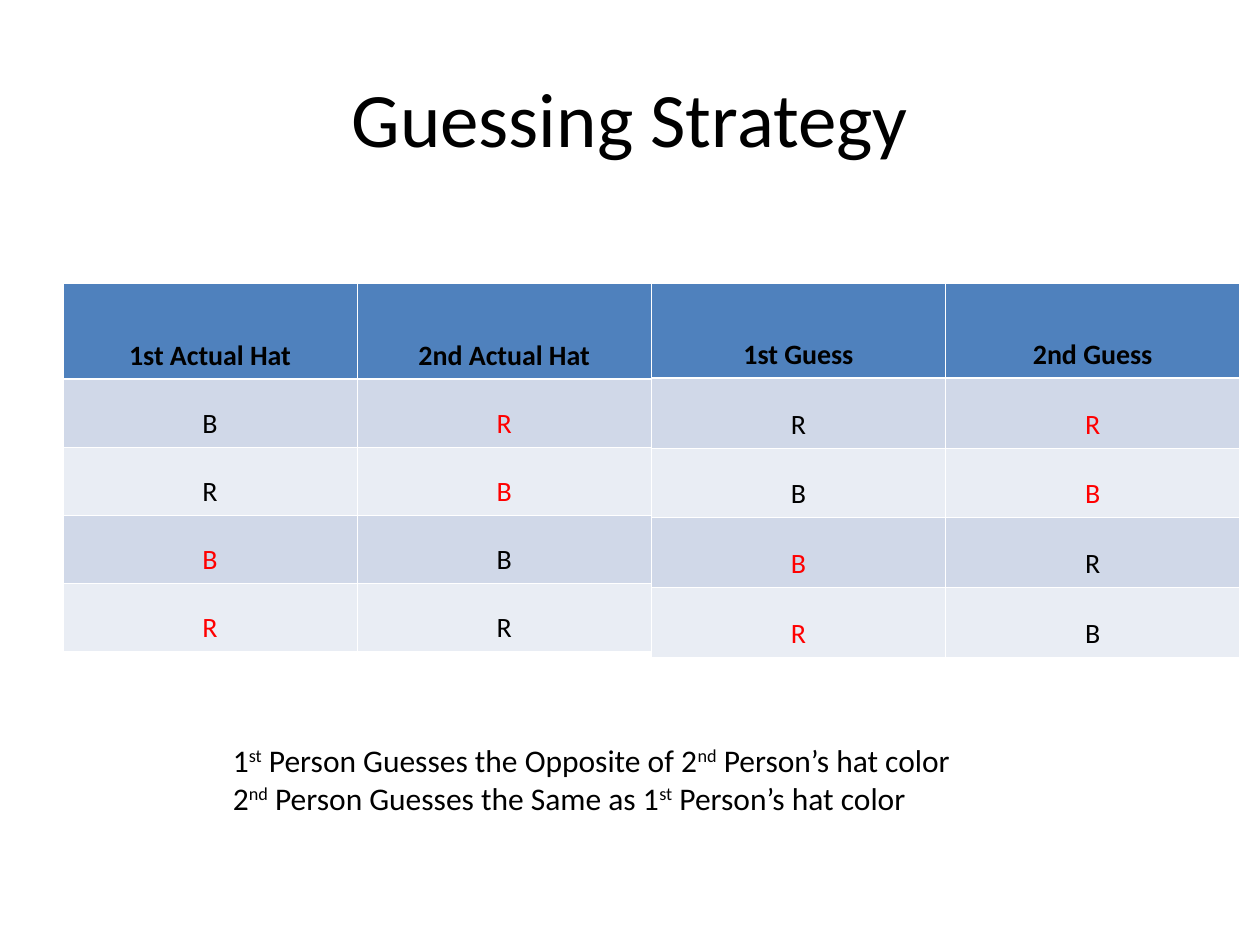
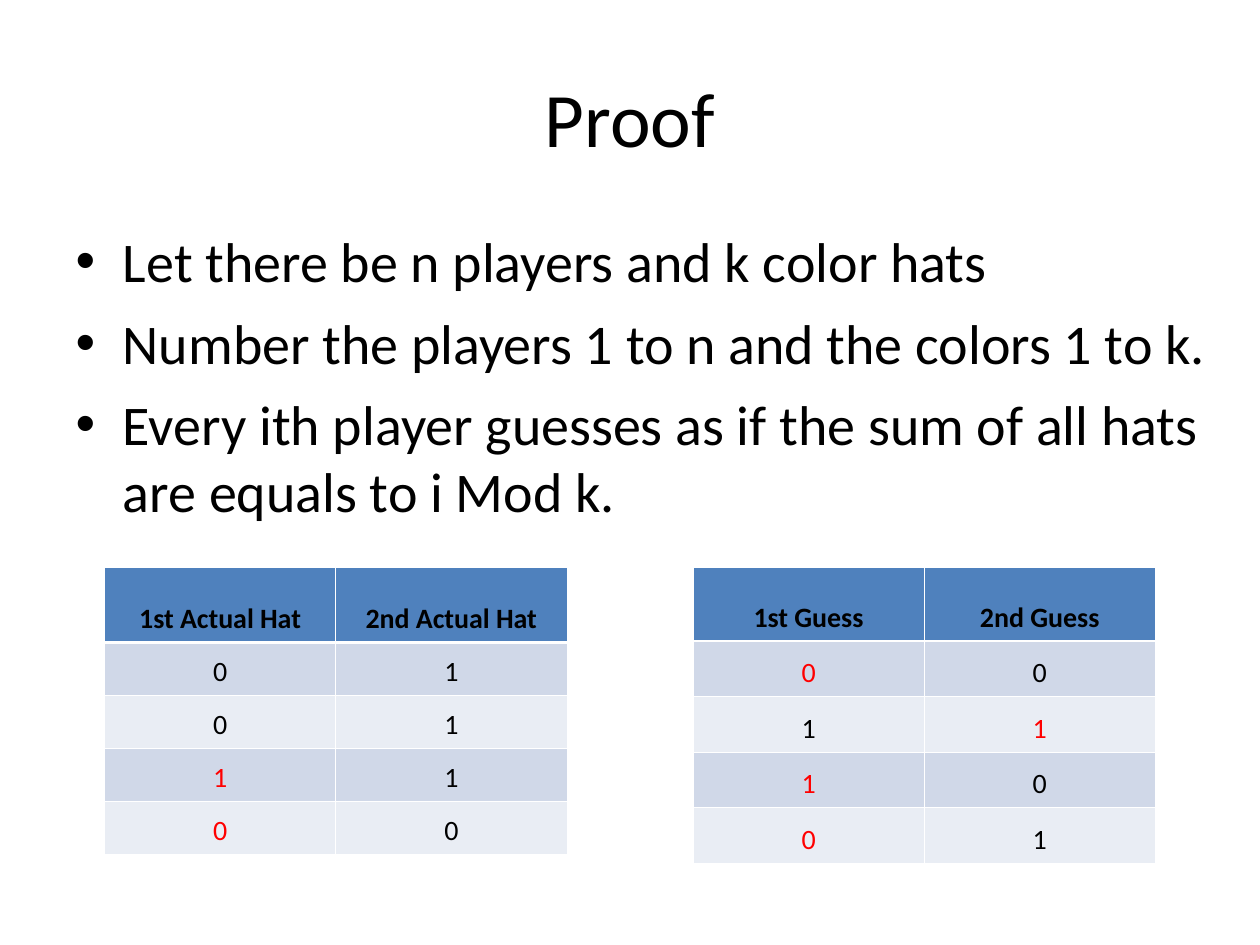
"""Build two slides on the hat guessing strategy and its proof."""
from lxml import etree
from pptx import Presentation
from pptx.dml.color import RGBColor
from pptx.enum.text import MSO_ANCHOR, MSO_AUTO_SIZE, PP_ALIGN
from pptx.oxml.ns import qn
from pptx.util import Inches, Pt

BLACK = RGBColor(0x00, 0x00, 0x00)
WHITE = RGBColor(0xFF, 0xFF, 0xFF)
RED = RGBColor(0xFF, 0x00, 0x00)
HEADER_BLUE = RGBColor(0x4F, 0x81, 0xBD)
BAND_DARK = RGBColor(0xD0, 0xD8, 0xE8)
BAND_LIGHT = RGBColor(0xE9, 0xED, 0xF4)

CENTER, LEFT = PP_ALIGN.CENTER, PP_ALIGN.LEFT
TOP, MIDDLE, BOTTOM = MSO_ANCHOR.TOP, MSO_ANCHOR.MIDDLE, MSO_ANCHOR.BOTTOM
NO_FIT, GROW = MSO_AUTO_SIZE.NONE, MSO_AUTO_SIZE.SHAPE_TO_FIT_TEXT

FONT = "Calibri"
TITLE_LAYOUT, BODY_LAYOUT = 5, 1
THIN, THICK = Pt(0.45), Pt(1.47)
RED_MARK = "*"
SUPERSCRIPT_MARK = "^"

TITLE_FRAME = {"vertical_anchor": MIDDLE, "word_wrap": True, "auto_size": NO_FIT}
BODY_FRAME = {"vertical_anchor": TOP, "word_wrap": True, "auto_size": NO_FIT}
NOTE_FRAME = {"vertical_anchor": TOP, "word_wrap": True, "auto_size": GROW}
CELL_FRAME = {
    "vertical_anchor": BOTTOM,
    "margin_left": Inches(0.08),
    "margin_right": Inches(0.08),
    "margin_top": Inches(0.05),
    "margin_bottom": Inches(0.05),
}
CELL_PARAGRAPH = {"alignment": CENTER, "line_spacing": 1.15}

ACTUAL_HEADER = ["1st Actual Hat", "2nd Actual Hat"]
GUESS_HEADER = ["1st Guess", "2nd Guess"]
COLOR_HATS = [ACTUAL_HEADER, ["B", "*R"], ["R", "*B"], ["*B", "B"], ["*R", "R"]]
COLOR_GUESSES = [GUESS_HEADER, ["R", "*R"], ["B", "*B"], ["*B", "R"], ["*R", "B"]]
NUMBER_HATS = [ACTUAL_HEADER, ["0", "1"], ["0", "1"], ["*1", "1"], ["*0", "0"]]
NUMBER_GUESSES = [GUESS_HEADER, ["*0", "0"], ["1", "*1"], ["*1", "0"], ["*0", "1"]]

STRATEGY_NOTES = [
    "1^st^ Person Guesses the Opposite of 2^nd^ Person’s hat color",
    "2^nd^ Person Guesses the Same as 1^st^ Person’s hat color",
]
PROOF_STEPS = [
    "Let there be n players and k color hats",
    "Number the players 1 to n and the colors 1 to k.",
    "Every ith player guesses as if the sum of all hats are equals to i Mod k.",
]


def apply_format(target, values):
    """Set every attribute named in values on the target."""
    for name, value in values.items():
        setattr(target, name, value)


def place(shape, left, top, width, height):
    """Move and size a shape, in inches."""
    box = {"left": left, "top": top, "width": width, "height": height}
    apply_format(shape, {name: Inches(length) for name, length in box.items()})


def add_text(paragraph, text, size, color=BLACK, bold=False):
    """Add runs to a paragraph, raising the parts between superscript marks."""
    for index, part in enumerate(text.split(SUPERSCRIPT_MARK)):
        run = paragraph.add_run()
        run.text = part
        apply_format(run.font, {"name": FONT, "size": Pt(size), "bold": bold})
        run.font.color.rgb = color
        if index % 2:
            run.font._element.set("baseline", "30000")


def fill_frame(text_frame, lines, size, frame_format, paragraph_format):
    """Write one formatted paragraph for each line."""
    apply_format(text_frame, frame_format)
    for index, line in enumerate(lines):
        paragraph = text_frame.add_paragraph() if index else text_frame.paragraphs[0]
        apply_format(paragraph, paragraph_format)
        add_text(paragraph, line, size)


def add_titled_slide(presentation, layout_index, title):
    """Add a slide with the shared title style."""
    slide = presentation.slides.add_slide(presentation.slide_layouts[layout_index])
    place(slide.shapes.title, 0.5, 0.3, 9, 1.25)
    fill_frame(slide.shapes.title.text_frame, [title], 44, TITLE_FRAME, {"alignment": CENTER})
    return slide


def set_borders(cell, row_index):
    """Draw white cell borders, thicker below the header row."""
    widths = {
        "a:lnL": THIN,
        "a:lnR": THIN,
        "a:lnT": THICK if row_index == 1 else THIN,
        "a:lnB": THICK if row_index == 0 else THIN,
    }
    properties = cell._tc.get_or_add_tcPr()
    for tag, width in widths.items():
        line = etree.SubElement(properties, qn(tag), w=str(int(width)))
        solid_fill = etree.SubElement(line, qn("a:solidFill"))
        etree.SubElement(solid_fill, qn("a:srgbClr"), val=str(WHITE))


def fill_cell(cell, text, row_index):
    """Style one table cell and write its text."""
    is_header = row_index == 0
    band = BAND_DARK if row_index % 2 else BAND_LIGHT
    set_borders(cell, row_index)
    cell.fill.solid()
    cell.fill.fore_color.rgb = HEADER_BLUE if is_header else band
    apply_format(cell, CELL_FRAME)
    paragraph = cell.text_frame.paragraphs[0]
    apply_format(paragraph, CELL_PARAGRAPH)
    color = RED if text.startswith(RED_MARK) else BLACK
    add_text(paragraph, text.removeprefix(RED_MARK), 16, color, is_header)


def add_hat_table(slide, rows, left, top, width, header_height, row_height):
    """Add a two-column table of hats or guesses."""
    height = header_height + row_height * (len(rows) - 1)
    table = slide.shapes.add_table(
        len(rows), len(rows[0]), Inches(left), Inches(top), Inches(width), Inches(height)
    ).table
    apply_format(table, {"first_row": False, "horz_banding": False})
    for row_index, texts in enumerate(rows):
        table.rows[row_index].height = Inches(row_height if row_index else header_height)
        for column_index, text in enumerate(texts):
            fill_cell(table.cell(row_index, column_index), text, row_index)


def add_strategy_slide(presentation):
    """Show the strategy for two players and two colors."""
    slide = add_titled_slide(presentation, TITLE_LAYOUT, "Guessing Strategy")
    add_hat_table(slide, COLOR_HATS, 0.5, 2.25, 4.67, 0.76, 0.54)
    add_hat_table(slide, COLOR_GUESSES, 5.17, 2.25, 4.67, 0.75, 0.555)
    note = slide.shapes.add_textbox(Inches(1.75), Inches(5.83), Inches(6.83), Inches(0.7))
    fill_frame(note.text_frame, STRATEGY_NOTES, 18, NOTE_FRAME, {"alignment": LEFT})


def add_proof_slide(presentation):
    """Show the general proof with a numbered example."""
    slide = add_titled_slide(presentation, BODY_LAYOUT, "Proof")
    body = slide.placeholders[1]
    place(body, 0.5, 1.75, 9.25, 4.95)
    fill_frame(
        body.text_frame, PROOF_STEPS, 32, BODY_FRAME,
        {"alignment": LEFT, "space_before": Pt(8)},
    )
    add_hat_table(slide, NUMBER_HATS, 0.83, 4.5, 3.67, 0.6, 0.42)
    add_hat_table(slide, NUMBER_GUESSES, 5.5, 4.5, 3.67, 0.59, 0.44)


def main():
    """Build and save the presentation."""
    presentation = Presentation()
    presentation.slide_width = Inches(10)
    presentation.slide_height = Inches(7.5)
    add_strategy_slide(presentation)
    add_proof_slide(presentation)
    presentation.save("out.pptx")


if __name__ == "__main__":
    main()
